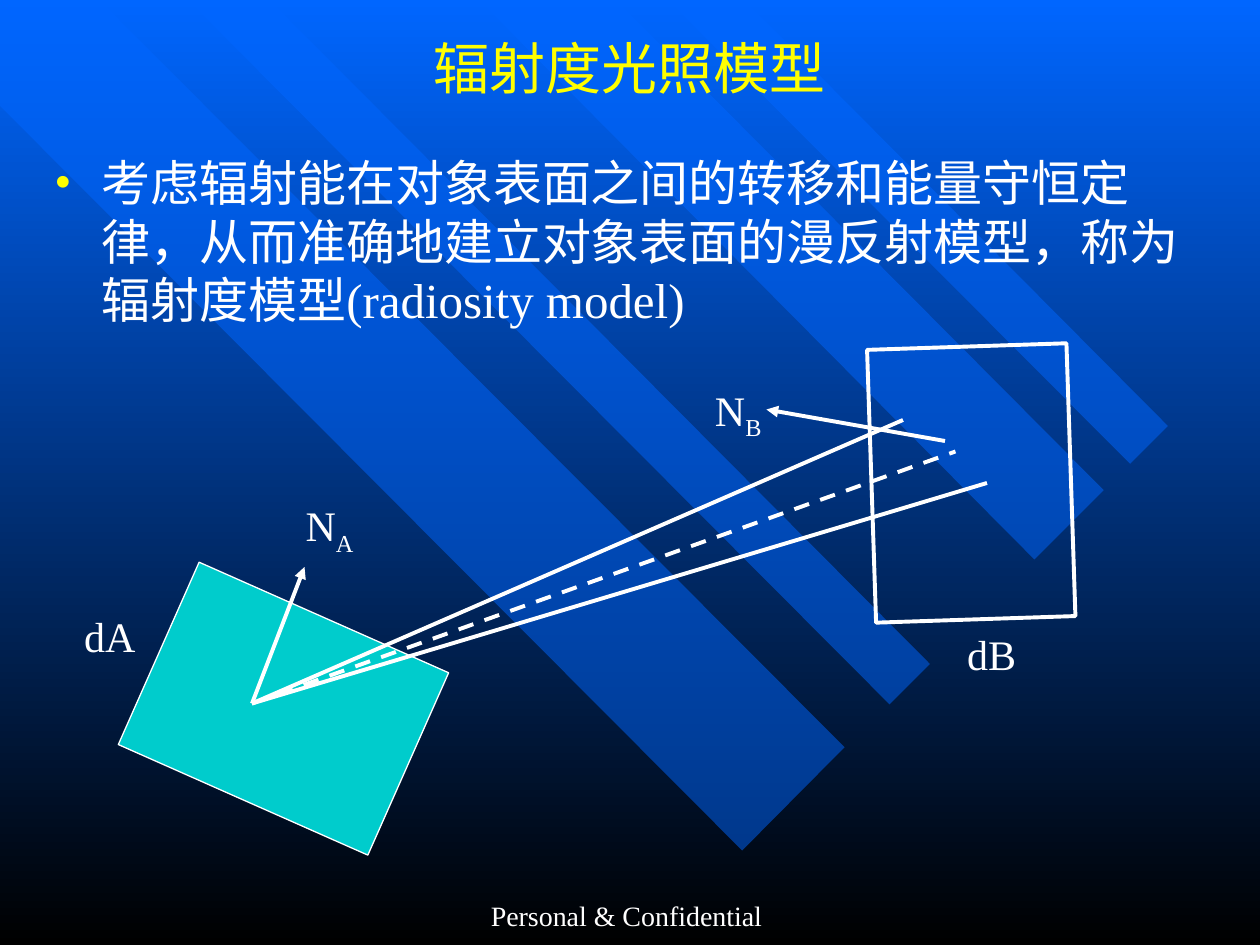
"""Build the radiosity illumination model slide."""
from lxml.etree import SubElement
from pptx import Presentation
from pptx.dml.color import RGBColor
from pptx.enum.dml import MSO_LINE
from pptx.enum.shapes import MSO_CONNECTOR, MSO_SHAPE
from pptx.enum.text import MSO_ANCHOR, MSO_AUTO_SIZE, PP_ALIGN
from pptx.oxml.ns import qn
from pptx.util import Pt

WHITE, YELLOW, BLUE, TEAL, BLACK = "FFFFFF", "FFFF00", "0066FF", "00CCCC", "000000"
FONT = "Times New Roman"


def color(value):
    return RGBColor.from_string(value)


def add_text(left, top, width, height, parts, size, tint=WHITE, wrap=True):
    box = page.shapes.add_textbox(Pt(left), Pt(top), Pt(width), Pt(height))
    box.text_frame.word_wrap = wrap
    if not wrap:
        box.text_frame.auto_size = MSO_AUTO_SIZE.SHAPE_TO_FIT_TEXT
    para = box.text_frame.paragraphs[0]
    for part in parts:
        span = para.add_run()
        span.text = part
    para.font.name = FONT
    para.font.size = Pt(size)
    para.font.color.rgb = color(tint)
    return box, para


deck = Presentation()
deck.slide_width, deck.slide_height = Pt(720), Pt(540)
page = deck.slides.add_slide(deck.slide_layouts[6])

backdrop = page.background.fill
backdrop.gradient()
backdrop.gradient_angle = 270
for stop, tint, position in zip(backdrop.gradient_stops, (BLUE, BLACK), (0, 1)):
    stop.color.rgb = color(tint)
    stop.position = position

bands = [
    [(482.6, 427), (56.9, 0), (0, 0), (0, 60.5), (424.1, 486)],
    [(154.1, 0), (531.4, 379.4), (508.3, 402.5), (107.3, 0)],
    [(352.1, 0), (630.7, 280.1), (591.1, 319.7), (273.6, 0)],
    [(381.6, 0), (645.8, 265), (667.4, 243.4), (425.5, 0)],
]
for corners in bands:
    points = [(Pt(x), Pt(y)) for x, y in corners]
    builder = page.shapes.build_freeform(*points[0])
    builder.add_line_segments(points[1:], close=True)
    band = builder.convert_to_shape()
    band.shadow.inherit = False
    band.line.fill.background()
    band.fill.solid()
    band.fill.fore_color.rgb = color(BLUE)
    tint = band.fill._xPr.find(qn("a:solidFill"))[0]
    SubElement(tint, qn("a:alpha"), val="50000")

footer, para = add_text(246, 510, 228, 36, ["Personal & Confidential "], 16)
para.alignment = PP_ALIGN.CENTER

body, para = add_text(
    24, 83.5, 666, 147,
    ["考虑辐射能在对象表面之间的转移和能量守恒定律，从而准确地建立对象表面的漫反射模型，称为辐射度模型(radiosity model)"], 28)
settings = para._p.get_or_add_pPr()
settings.set("marL", str(Pt(27)))
settings.set("indent", str(Pt(-27)))
settings.set("hangingPunct", "0")
bullet_color = settings.makeelement(qn("a:buClr"))
SubElement(bullet_color, qn("a:srgbClr"), val=YELLOW)
bullet_font = settings.makeelement(qn("a:buFont"), typeface=FONT)
bullet = settings.makeelement(qn("a:buChar"), char="•")
for place, part in enumerate((bullet_color, bullet_font, bullet)):
    settings.insert(place, part)

for left, top, angle, tint, weight in [(84, 348, 23.9, TEAL, 0.75), (477, 219, 88.1, None, 2.25)]:
    patch = page.shapes.add_shape(MSO_SHAPE.RECTANGLE, Pt(left), Pt(top), Pt(156), Pt(114))
    patch.rotation = angle
    patch.shadow.inherit = False
    patch.line.color.rgb = color(WHITE)
    patch.line.width = Pt(weight)
    if tint:
        patch.fill.solid()
        patch.fill.fore_color.rgb = color(tint)
    else:
        patch.fill.background()

source = (144, 402)
rays = [
    (source, (174, 324), "arrow"),
    ((540, 252), (438, 234), "arrow"),
    (source, (516, 240), "solid"),
    (source, (564, 276), "solid"),
    (source, (546, 258), "dash"),
]
for start, end, style in rays:
    ray = page.shapes.add_connector(MSO_CONNECTOR.STRAIGHT, *map(Pt, start + end))
    ray.line.color.rgb = color(WHITE)
    ray.line.width = Pt(2.25)
    if style == "dash":
        ray.line.dash_style = MSO_LINE.DASH
    if style == "arrow":
        SubElement(ray.line._get_or_add_ln(), qn("a:tailEnd"), type="triangle")
    SubElement(ray._element.spPr, qn("a:effectLst"))

labels = [
    (41, 345.6, 44, 36, ["dA"]),
    (545.5, 355.7, 42.5, 36, ["dB"]),
    (167.5, 282, 41.8, 40.3, ["N", "A"]),
    (401.5, 216, 41, 40.3, ["N", "B"]),
]
for left, top, width, height, parts in labels:
    label, para = add_text(left, top, width, height, parts, 24, wrap=False)
    for subscript in para.runs[1:]:
        subscript._r.get_or_add_rPr().set("baseline", "-25000")

title, para = add_text(54, 11.5, 612, 54, ["辐射度光照模型"], 32, YELLOW)
title.text_frame.vertical_anchor = MSO_ANCHOR.MIDDLE
para.alignment = PP_ALIGN.CENTER

deck.save("out.pptx")
